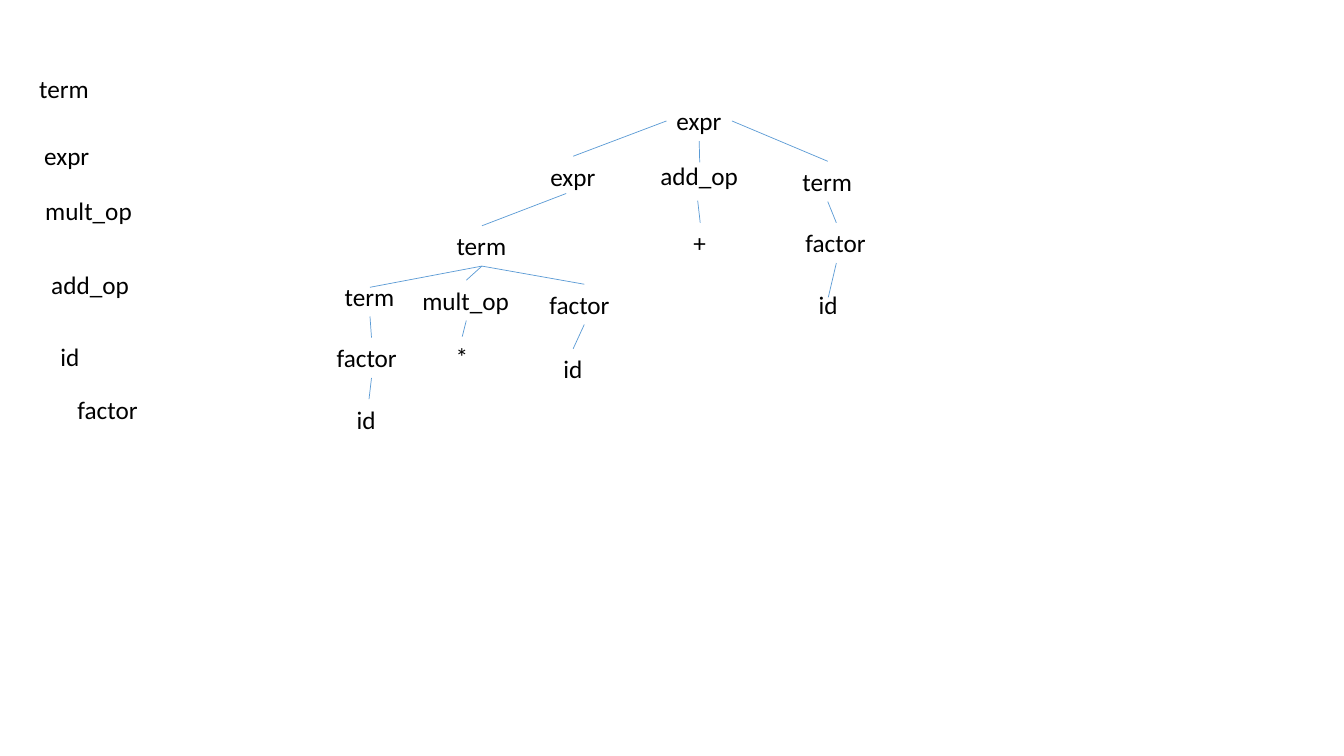
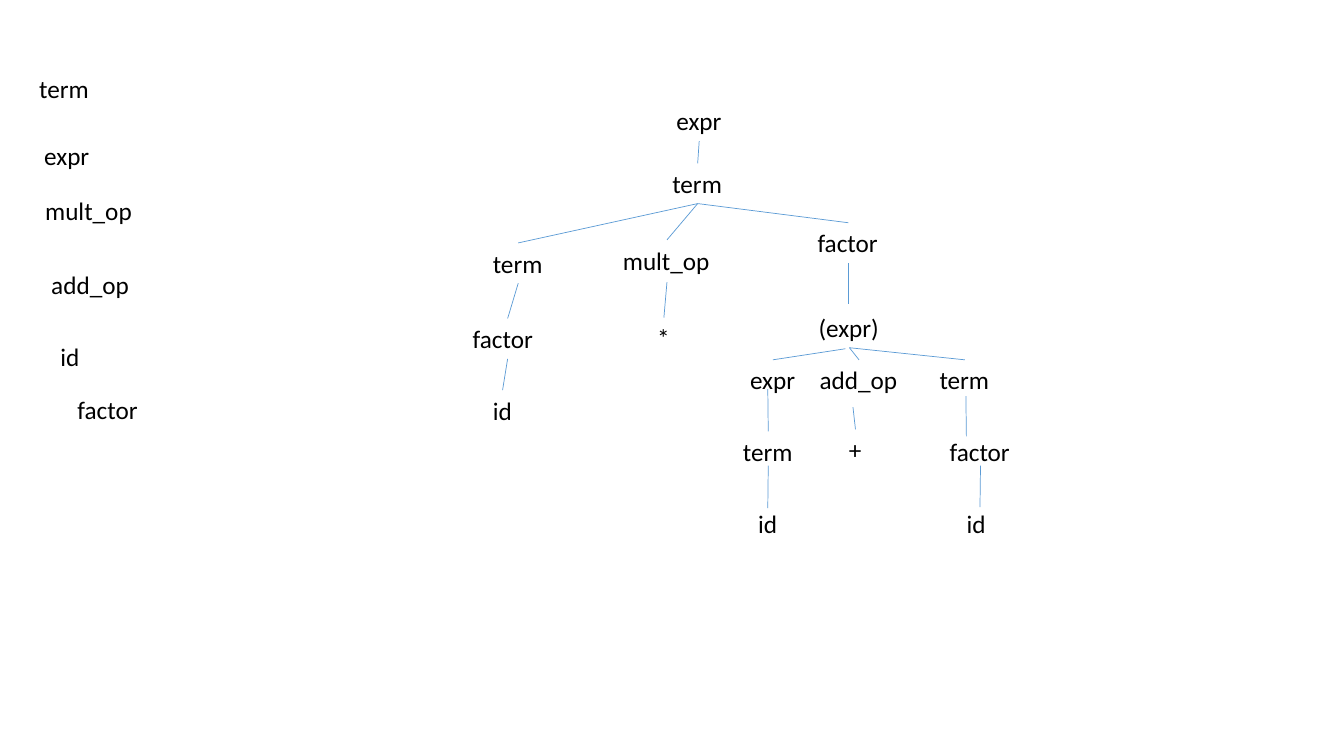
from dataclasses import dataclass

from lxml.etree import SubElement
from pptx import Presentation
from pptx.dml.color import RGBColor
from pptx.enum.shapes import MSO_CONNECTOR
from pptx.enum.text import MSO_AUTO_SIZE
from pptx.oxml.ns import qn
from pptx.util import Inches, Pt


@dataclass(frozen=True)
class Theme:
    """Colours, type and line sizes shared by the slides."""
    font: str = "Calibri"
    size: float = 18
    ink: RGBColor = RGBColor(0, 0, 0)
    branch: RGBColor = RGBColor(0x5B, 0x9B, 0xD5)
    branch_width: float = 0.5


@dataclass(frozen=True)
class Node:
    """A grammar symbol; left and top count grid cells."""
    word: str
    left: float
    top: float
    width: float = 0

    def anchor(self, side):
        """Return the middle point of one side of the symbol's box."""
        width = self.width or WIDTHS[self.word]
        across, down = {"top": (0.5, 0), "bottom": (0.5, 1),
                        "left": (0, 0.5), "right": (1, 0.5)}[side]
        return self.left + across * width, self.top + down * ROW


@dataclass(frozen=True)
class Branch:
    """A line from parent to child, with small shifts of its ends."""
    parent: str
    child: str
    side: str = "bottom"
    start: tuple = (0, 0)
    end: tuple = (0, 0)


COLUMNS, ROWS = 13.33, 7.5
ROW = 0.4
WIDTHS = {"expr": 0.65, "term": 0.7, "mult_op": 1.07, "add_op": 0.98, "id": 0.39,
          "factor": 0.89, "(expr)": 0.81, "+": 0.33, "*": 0.33}

SYMBOLS = [Node("expr", 0.34, 1.34), Node("term", 0.29, 0.68),
           Node("mult_op", 0.35, 1.89), Node("add_op", 0.41, 2.62),
           Node("id", 0.5, 3.34), Node("factor", 0.67, 3.86)]

SUM_NODES = {
    "root": Node("expr", 6.61, 1),
    "left expr": Node("expr", 5.36, 1.55),
    "add": Node("add_op", 6.45, 1.54),
    "right term": Node("term", 7.86, 1.6),
    "plus": Node("+", 6.78, 2.21),
    "right factor": Node("factor", 7.89, 2.21, 0.81),
    "right id": Node("id", 8.02, 2.82),
    "product": Node("term", 4.43, 2.24),
    "left term": Node("term", 3.32, 2.74),
    "multiply": Node("mult_op", 4.09, 2.78),
    "middle factor": Node("factor", 5.35, 2.82),
    "middle id": Node("id", 5.49, 3.46),
    "star": Node("*", 4.42, 3.34),
    "left factor": Node("factor", 3.24, 3.35),
    "left id": Node("id", 3.44, 3.96, 0.44),
}
SUM_BRANCHES = [
    Branch("root", "left expr", "left"),
    Branch("root", "right term", "right"),
    Branch("root", "add", end=(0, 0.07)),
    Branch("left expr", "product", start=(-0.07, -0.03)),
    Branch("product", "left term", end=(0, 0.11)),
    Branch("product", "multiply"),
    Branch("product", "middle factor"),
    Branch("multiply", "star"),
    Branch("middle factor", "middle id"),
    Branch("left term", "left factor"),
    Branch("left factor", "left id"),
    Branch("add", "plus", start=(-0.02, 0.05)),
    Branch("right term", "right factor"),
    Branch("right factor", "right id", end=(0, 0.13)),
]

PRODUCT_NODES = {
    "root": Node("expr", 6.61, 1),
    "inner expr": Node("expr", 7.34, 3.57),
    "add": Node("add_op", 8.03, 3.57),
    "product": Node("term", 6.57, 1.62),
    "plus": Node("+", 8.32, 4.26),
    "right factor": Node("factor", 8.01, 2.21, 0.81),
    "left term": Node("term", 4.79, 2.41),
    "inner term": Node("term", 7.27, 4.28),
    "multiply": Node("mult_op", 6.08, 2.38),
    "left factor": Node("factor", 4.59, 3.16),
    "left id": Node("id", 4.79, 3.87),
    "star": Node("*", 6.42, 3.15),
    "last factor": Node("factor", 9.32, 4.28),
    "last id": Node("id", 9.49, 4.99, 0.44),
    "bracket": Node("(expr)", 8.02, 3.05),
    "last term": Node("term", 9.22, 3.57),
    "inner id": Node("id", 7.42, 4.99),
}
PRODUCT_BRANCHES = [
    Branch("root", "product"),
    Branch("product", "left term"),
    Branch("product", "multiply"),
    Branch("product", "right factor"),
    Branch("left term", "left factor"),
    Branch("left factor", "left id"),
    Branch("multiply", "star", start=(0, 0.02)),
    Branch("right factor", "bracket", end=(-0.01, -0.03)),
    Branch("bracket", "inner expr", start=(-0.04, 0.01)),
    Branch("bracket", "add"),
    Branch("bracket", "last term"),
    Branch("add", "plus", start=(-0.06, 0.07)),
    Branch("inner expr", "inner term", start=(-0.05, -0.11)),
    Branch("inner term", "inner id", start=(0, -0.06), end=(0, 0.05)),
    Branch("last term", "last factor", start=(0.01, -0.04), end=(-0.18, 0.05)),
    Branch("last factor", "last id", start=(-0.04, -0.06), end=(0.01, 0.04)),
]


class TreeDeck:
    """Holds the deck, its theme and the current page."""

    def __init__(self, theme):
        """Start a deck whose grid cells are one inch square."""
        self.theme = theme
        self.deck = Presentation()
        self.deck.slide_width = Inches(COLUMNS)
        self.deck.slide_height = Inches(ROWS)
        self.page = None

    def add_page(self):
        """Add a blank page with the list of symbols."""
        self.page = self.deck.slides.add_slide(self.deck.slide_layouts[6])
        for node in SYMBOLS:
            self.label(self.page.shapes, node)

    def label(self, shapes, node):
        """Write one symbol."""
        width = node.width or WIDTHS[node.word]
        box = shapes.add_textbox(*map(Inches, (node.left, node.top, width, ROW)))
        frame = box.text_frame
        frame.text = node.word
        frame.word_wrap = False
        frame.auto_size = MSO_AUTO_SIZE.SHAPE_TO_FIT_TEXT
        font = frame.paragraphs[0].runs[0].font
        font.name = self.theme.font
        font.size = Pt(self.theme.size)
        font.color.rgb = self.theme.ink

    def line(self, shapes, start, end):
        """Draw one thin branch line."""
        line = shapes.add_connector(MSO_CONNECTOR.STRAIGHT, *map(Inches, (*start, *end)))
        line.line.color.rgb = self.theme.branch
        line.line.width = Pt(self.theme.branch_width)
        SubElement(line.element.spPr, qn("a:effectLst"))

    def tree(self, nodes, branches):
        """Draw a parse tree as one group."""
        shapes = self.page.shapes.add_group_shape().shapes
        for node in nodes.values():
            self.label(shapes, node)
        for branch in branches:
            ends = ((nodes[branch.parent].anchor(branch.side), branch.start),
                    (nodes[branch.child].anchor("top"), branch.end))
            self.line(shapes, *[(x + right, y + down) for (x, y), (right, down) in ends])


def main():
    """Build both parse trees and save the deck."""
    trees = TreeDeck(Theme())
    for nodes, branches in ((SUM_NODES, SUM_BRANCHES), (PRODUCT_NODES, PRODUCT_BRANCHES)):
        trees.add_page()
        trees.tree(nodes, branches)
    trees.deck.save("out.pptx")


main()
